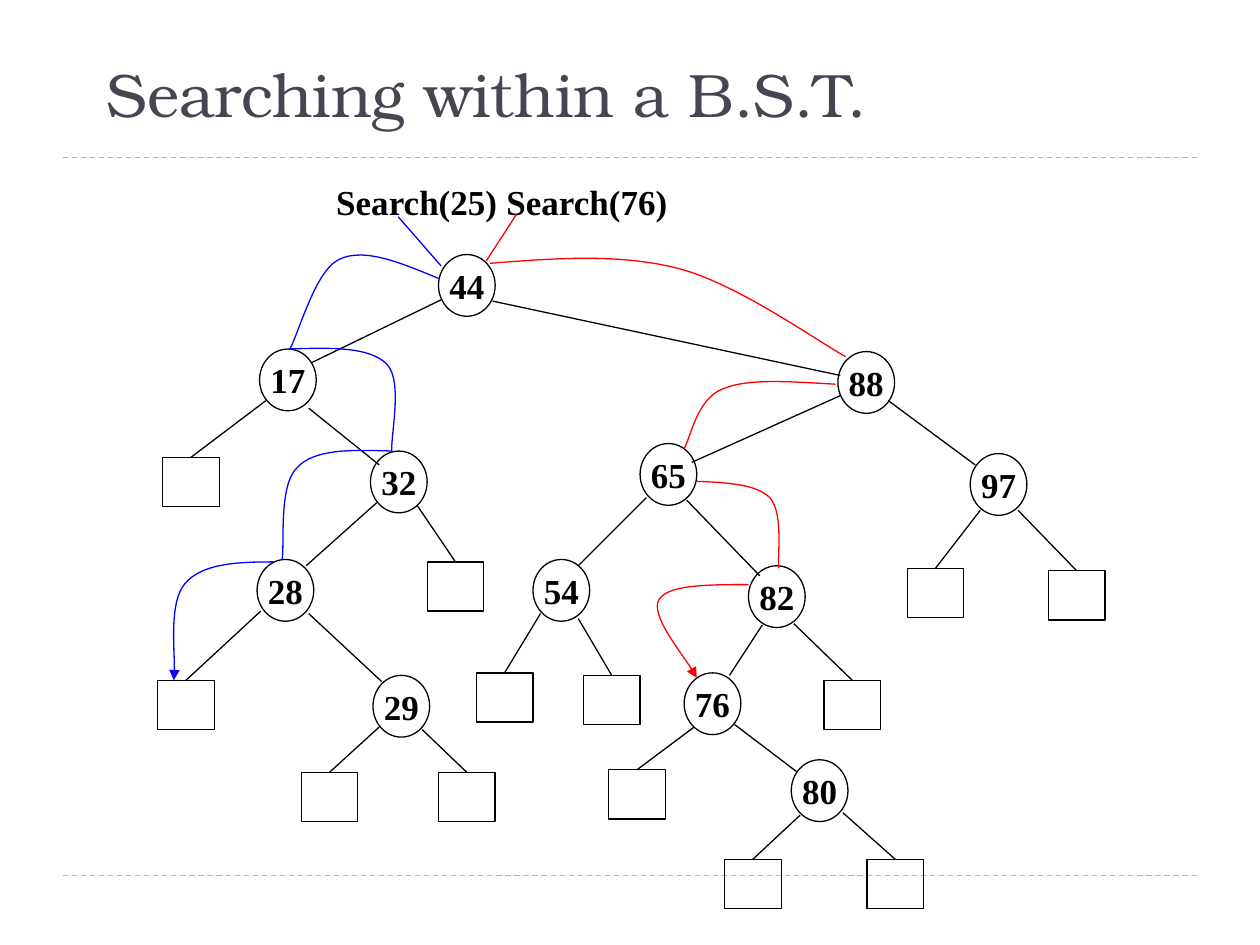
from pptx import Presentation
from pptx.dml.color import RGBColor
from pptx.enum.dml import MSO_LINE
from pptx.enum.shapes import MSO_CONNECTOR as Link, MSO_SHAPE as Kind
from pptx.enum.text import MSO_ANCHOR as Anchor, PP_ALIGN as Align
from pptx.oxml.ns import qn
from pptx.util import Pt
from lxml.etree import SubElement

PX = 9144  # EMU in one px, 100 px to the inch
BLACK, BLUE, RED, RULE, TITLE = "000000", "0000FF", "FF0000", "9FB8CD", "464653"
SERIF, DISPLAY = "Times New Roman", "TeX Gyre Bonum"
NODE_SIZE, LEAF_SIZE = (45, 49), (45, 39)

NODES = {
    "44": (348, 202), "32": (294, 358), "65": (508, 352), "88": (665, 279),
    "28": (204, 444), "17": (206, 277), "80": (628, 603), "76": (543, 534),
    "97": (770, 360), "82": (594, 449), "54": (423, 444), "29": (296, 536),
}
BRANCHES = [
    (350, 238, 247, 288), (391, 239, 667, 298), (245, 324, 301, 369),
    (299, 399, 243, 449), (245, 487, 303, 541), (667, 314, 549, 367),
    (705, 318, 774, 369), (545, 397, 603, 457), (513, 395, 459, 449),
    (605, 496, 579, 536), (583, 575, 633, 613),
]
# Corner of each empty leaf, then the point on its parent where its branch starts
LEAVES = [
    (720, 451, 778, 405), (832, 453, 808, 405), (483, 611, 551, 577),
    (654, 540, 630, 495), (125, 540, 207, 485), (129, 363, 211, 318),
    (239, 613, 301, 577), (348, 613, 335, 579), (339, 446, 331, 401),
    (378, 534, 429, 487), (463, 536, 459, 491), (575, 682, 635, 647),
    (688, 682, 669, 645),
]
# Each search: label, label left, first step, then its curved steps
SEARCHES = [
    ("Search(25)", 257, BLUE, (316, 172, 350, 211), [
        [(348, 221), (319, 209), (289, 196), (269, 206), (250, 215), (237, 265), (230, 277)],
        [(230, 277), (262, 276), (293, 275), (307, 289), (320, 302), (310, 346), (311, 358)],
        [(311, 358), (280, 357), (250, 356), (236, 371), (221, 385), (226, 432), (224, 444)],
        [(217, 446), (189, 446), (161, 447), (147, 463), (134, 478), (140, 527), (138, 540)],
    ]),
    ("Search(76)", 392, RED, (410, 170, 386, 207), [
        [(389, 209), (440, 205), (491, 201), (538, 213), (585, 225), (649, 271), (671, 283)],
        [(663, 305), (628, 303), (593, 300), (573, 309), (553, 317), (548, 348), (543, 356)],
        [(553, 382), (576, 383), (600, 384), (611, 395), (622, 407), (617, 442), (618, 451)],
        [(594, 464), (562, 464), (530, 464), (523, 476), (516, 488), (548, 527), (553, 538)],
    ]),
]


def rgb(code):
    return RGBColor.from_string(code)


def write(shape, text, size=20, font=SERIF, color=BLACK, bold=True,
          align=Align.LEFT, anchor=Anchor.TOP, wrap=False, margin=None):
    frame = shape.text_frame
    frame.word_wrap = wrap
    frame.vertical_anchor = anchor
    if margin is not None:
        frame.margin_left = frame.margin_right = margin
        frame.margin_top = frame.margin_bottom = margin
    para = frame.paragraphs[0]
    para.alignment = align
    span = para.add_run()
    span.text = text
    span.font.size, span.font.name, span.font.bold = Pt(size), font, bold
    span.font.color.rgb = rgb(color)


class TreePage:
    def __init__(self, page, line_width=0.75):
        self.shapes = page.shapes
        self.line_width = Pt(line_width)

    def stroke(self, shape, color):
        shape.line.color.rgb = rgb(color)
        shape.line.width = self.line_width

    def outline(self, shape, color=BLACK):
        """Leave only a thin line: no fill and no shadow."""
        shape.shadow.inherit = False
        shape.fill.background()
        self.stroke(shape, color)
        return shape

    def shape(self, kind, left, top, size):
        box = self.shapes.add_shape(kind, *(PX * n for n in (left, top, *size)))
        return self.outline(box)

    def node(self, key, left, top):
        circle = self.shape(Kind.OVAL, left, top, NODE_SIZE)
        write(circle, key, align=Align.CENTER, anchor=Anchor.MIDDLE, margin=0)

    def leaf(self, left, top, start_x, start_y):
        box = self.shape(Kind.RECTANGLE, left, top, LEAF_SIZE)
        branch = self.line(start_x, start_y, left, top)
        branch.end_connect(box, 0)

    def line(self, x1, y1, x2, y2, color=BLACK):
        line = self.shapes.add_connector(
            Link.STRAIGHT, *(PX * n for n in (x1, y1, x2, y2)))
        self.stroke(line, color)
        SubElement(line._element.spPr, qn("a:effectLst"))
        return line

    def rule(self, y):
        self.line(50, y, 950, y, RULE).line.dash_style = MSO_LINE.DASH

    def curve(self, points, color, arrow=False):
        """Draw a Bezier path: a start, then three points for each piece."""
        builder = self.shapes.build_freeform(*points[0], scale=PX)
        builder.add_line_segments(points[1:], close=False)
        shape = self.outline(builder.convert_to_shape(), color)
        path = next(shape._element.iter(qn("a:path")))
        segments = path.findall(qn("a:lnTo"))
        for first in range(0, len(segments), 3):
            piece = SubElement(path, qn("a:cubicBezTo"))
            for segment in segments[first:first + 3]:
                piece.append(segment[0])
                path.remove(segment)
        if arrow:
            line = shape._element.spPr.find(qn("a:ln"))
            SubElement(line, qn("a:tailEnd"), type="triangle")

    def label(self, text, left, top, width, height, **style):
        box = self.shapes.add_textbox(*(PX * n for n in (left, top, width, height)))
        write(box, text, **style)


def main():
    deck = Presentation()
    deck.slide_width, deck.slide_height = 1000 * PX, 750 * PX
    tree = TreePage(deck.slides.add_slide(deck.slide_layouts[6]))

    for y in (695, 125):
        tree.rule(y)
    for key, corner in NODES.items():
        tree.node(key, *corner)
    for ends in BRANCHES:
        tree.line(*ends)
    for leaf in LEAVES:
        tree.leaf(*leaf)
    for text, left, color, first_step, steps in SEARCHES:
        tree.label(text, left, 138, 148, 43)
        tree.line(*first_step, color)
        for points in steps:
            tree.curve(points, color, arrow=points is steps[-1])
    tree.label("Searching within a B.S.T.", 75, 14, 781, 94, size=35, font=DISPLAY,
               color=TITLE, bold=False, anchor=Anchor.BOTTOM, wrap=True)

    deck.save("out.pptx")


if __name__ == "__main__":
    main()
